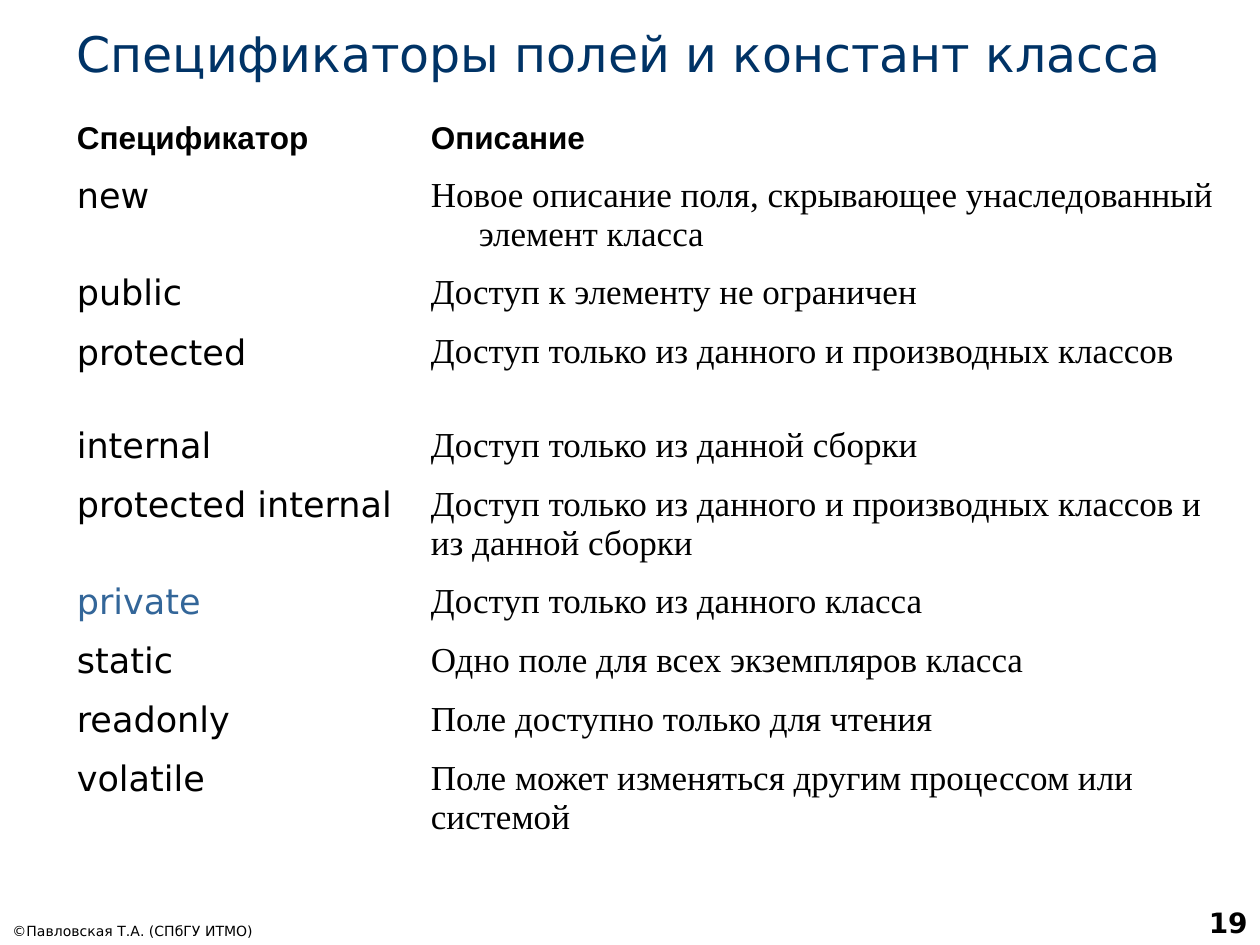
from lxml.etree import SubElement
from pptx import Presentation
from pptx.dml.color import RGBColor
from pptx.enum.text import MSO_ANCHOR as Anchor, PP_ALIGN as Align
from pptx.oxml.ns import qn
from pptx.util import Inches, Pt

NAVY = RGBColor(0x00, 0x33, 0x66)
BLUE = RGBColor(0x33, 0x66, 0x99)
BLACK = RGBColor(0x00, 0x00, 0x00)
WHITE = RGBColor(0xFF, 0xFF, 0xFF)
SANS, SERIF, HEADING = "DejaVu Sans", "Times New Roman", "Arial"
HANGING = 0.38
COLUMN_WIDTHS = (2.81, 6.55)

HEADERS = ("Спецификатор", "Описание")
SPECIFIERS = [
    ("new", "Новое описание поля, скрывающее унаследованный элемент класса", 0.77),
    ("public", "Доступ к элементу не ограничен", 0.47),
    ("protected", "Доступ только из данного и производных классов", 0.74),
    ("internal", "Доступ только из данной сборки", 0.47),
    ("protected internal", "Доступ только из данного и производных классов и из данной сборки", 0.77),
    ("private", "Доступ только из данного класса", 0.47),
    ("static", "Одно поле для всех экземпляров класса", 0.47),
    ("readonly", "Поле доступно только для чтения", 0.47),
    ("volatile", "Поле может изменяться другим процессом или системой", 0.77),
]
FLUSH_ROWS = {"protected internal", "volatile"}


def add_span(para, text, size, font, color=BLACK, bold=False):
    """Add one formatted run to a paragraph."""
    span = para.add_run()
    span.text = text
    span.font.size = Pt(size)
    span.font.name = font
    span.font.bold = bold
    span.font.color.rgb = color
    for tag in ("a:ea", "a:cs"):
        SubElement(span.font._element, qn(tag), typeface=font)


def add_label(page, box, text, size, color=BLACK, bold=False, align=Align.LEFT):
    """Place a bottom-anchored line of text in the given box."""
    frame = page.shapes.add_textbox(*map(Inches, box)).text_frame
    frame.word_wrap = True
    frame.vertical_anchor = Anchor.BOTTOM
    para = frame.paragraphs[0]
    para.alignment = align
    add_span(para, text, size, SANS, color, bold)


def fill_cell(cell, text, size, font, color=BLACK, bold=False, hanging=True):
    """Write a cell's text on a clear ground, with a hanging indent if wanted."""
    cell.fill.background()
    para = cell.text_frame.paragraphs[0]
    if hanging:
        properties = para._p.get_or_add_pPr()
        properties.set("marL", str(Inches(HANGING)))
        properties.set("indent", str(-Inches(HANGING)))
    add_span(para, text, size, font, color, bold)


def add_specifier_table(page, box):
    """Build the table of specifiers and their descriptions."""
    table = page.shapes.add_table(len(SPECIFIERS) + 1, 2, *map(Inches, box)).table
    table.first_row = table.horz_banding = False
    for column, width in zip(table.columns, COLUMN_WIDTHS):
        column.width = Inches(width)
    table.rows[0].height = Inches(0.44)
    for index, header in enumerate(HEADERS):
        fill_cell(table.cell(0, index), header, 18, HEADING, bold=True)
    for index, (name, description, height) in enumerate(SPECIFIERS, 1):
        table.rows[index].height = Inches(height)
        color = BLUE if name == "private" else BLACK
        fill_cell(table.cell(index, 0), name, 20, SANS, color)
        fill_cell(table.cell(index, 1), description, 20, SERIF, hanging=name not in FLUSH_ROWS)
    clear_borders(table)


def clear_borders(table):
    """Remove the outline of every cell."""
    for cell in table.iter_cells():
        properties = cell._tc.get_or_add_tcPr()
        for place, tag in enumerate(("a:lnL", "a:lnR", "a:lnT", "a:lnB")):
            line = SubElement(properties, qn(tag))
            SubElement(line, qn("a:noFill"))
            properties.insert(place, line)


def main():
    """Build the slide and save the deck."""
    deck = Presentation()
    deck.slide_width, deck.slide_height = Inches(10), Inches(7.5)
    page = deck.slides.add_slide(deck.slide_layouts[6])
    page.background.fill.solid()
    page.background.fill.fore_color.rgb = WHITE
    add_label(page, (0, 7.22, 3.11, 0.28), "©Павловская Т.А. (СПбГУ ИТМО)", 8)
    add_label(page, (7.92, 7, 2.08, 0.5), "19", 16, bold=True, align=Align.RIGHT)
    add_label(page, (0.51, 0.13, 9.37, 0.57), "Спецификаторы полей и констант класса", 28, NAVY)
    add_specifier_table(page, (0.51, 0.91, 9.36, 5.82))
    deck.save("out.pptx")


if __name__ == "__main__":
    main()
